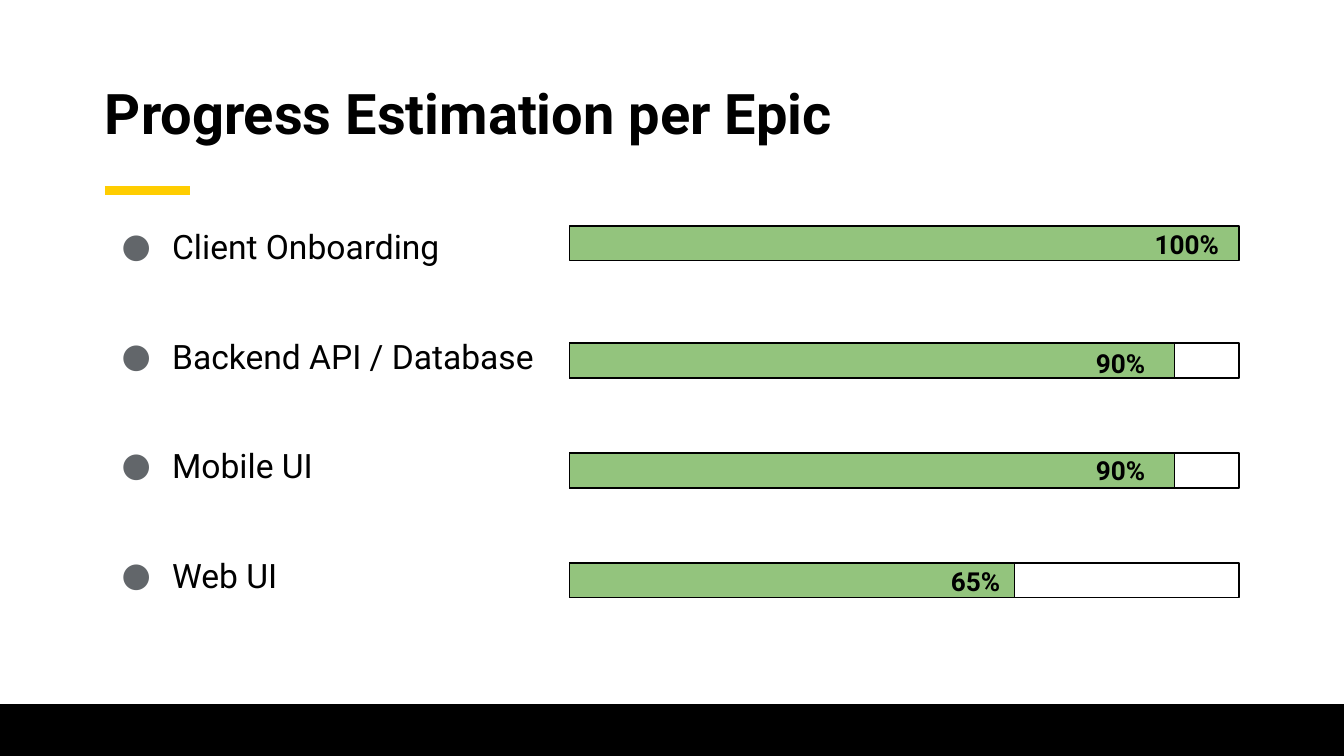
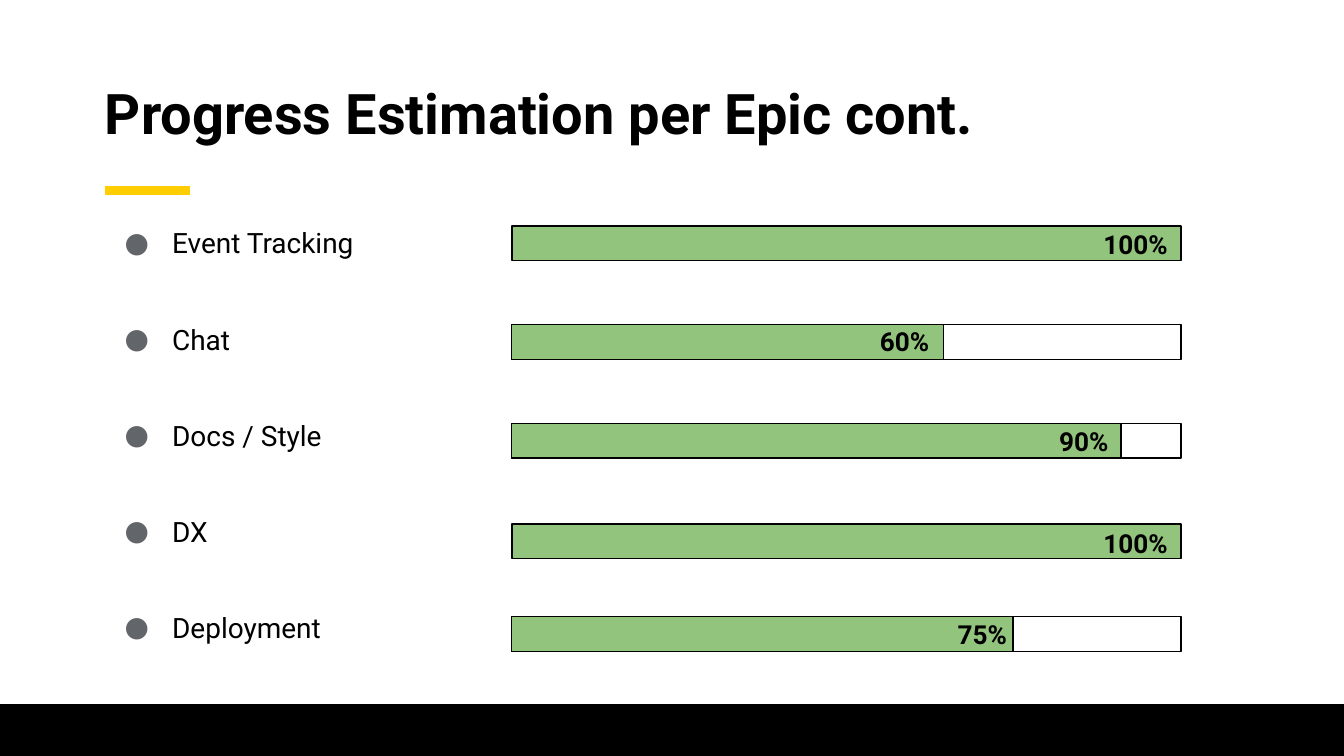
from lxml import etree
from pptx import Presentation
from pptx.dml.color import RGBColor
from pptx.enum.shapes import MSO_CONNECTOR, MSO_SHAPE
from pptx.enum.text import MSO_ANCHOR, PP_ALIGN
from pptx.oxml.ns import qn
from pptx.util import Pt

RECT = MSO_SHAPE.RECTANGLE
LINE = MSO_CONNECTOR.STRAIGHT
TOP, MIDDLE = MSO_ANCHOR.TOP, MSO_ANCHOR.MIDDLE
LEFT, RIGHT = PP_ALIGN.LEFT, PP_ALIGN.RIGHT

BLACK = RGBColor(0x00, 0x00, 0x00)
WHITE = RGBColor(0xFF, 0xFF, 0xFF)
GREEN = RGBColor(0x93, 0xC4, 0x7D)
YELLOW = RGBColor(0xFF, 0xCD, 0x00)
GREY = RGBColor(0x62, 0x66, 0x6A)
FONT = "Roboto"

WIDTH, HEIGHT = 720, 405
MARGIN = 56.2
INNER = WIDTH - 2 * MARGIN
BAR_W, BAR_H = 358.6, 18.7
LABEL_W, LABEL_H = 72, 24.5

# Each slide: title, text size, hanging indent, bar left, rows
# Each row: epic, percent, bar top, done width, label right, label top
SLIDES = [
    ("Progress Estimation per Epic", 18, 27, 305.2, [
        ("Client Onboarding", 100, 121, BAR_W, 660.2, 115.2),
        ("Backend API / Database", 90, 183.8, 324, 620.6, 178.8),
        ("Mobile UI", 90, 242.7, 324, 620.6, 236.2),
        ("Web UI", 65, 301.6, 238.2, 543, 295.5),
    ]),
    ("Progress Estimation per Epic cont.", 15, 25.5, 274.2, [
        ("Event Tracking", 100, 121, BAR_W, 632.7, 115.2),
        ("Chat", 60, 173.9, 231.2, 504.9, 167.2),
        ("Docs / Style", 90, 226.8, 326.5, 600.9, 220.6),
        ("DX", 100, 280.7, BAR_W, 632.7, 275.6),
        ("Deployment", 75, 330.3, 268.6, 546.6, 324.3),
    ]),
]


class Deck:
    def __init__(self):
        self.prs = Presentation()
        self.prs.slide_width = Pt(WIDTH)
        self.prs.slide_height = Pt(HEIGHT)
        self.slide = None

    def start(self, title):
        """Add a slide with the shared rule, band and title."""
        self.slide = self.prs.slides.add_slide(self.prs.slide_layouts[6])
        self.rule(MARGIN, 102.2, 45.6)
        self.rect(0, 377.2, WIDTH, HEIGHT - 377.2, BLACK)
        frame = self.frame(MARGIN, 23, INNER, 78.5, anchor=MIDDLE)
        para = frame.paragraphs[0]
        para.line_spacing = 0.9
        self.run(para, title, 30, True)

    def rule(self, left, top, width):
        line = self.slide.shapes.add_connector(
            LINE, Pt(left), Pt(top), Pt(left + width), Pt(top))
        line.line.color.rgb = YELLOW
        line.line.width = Pt(5)
        etree.SubElement(line._element.spPr, qn("a:effectLst"))

    def rect(self, left, top, width, height, fill, edge=None):
        box = self.slide.shapes.add_shape(
            RECT, Pt(left), Pt(top), Pt(width), Pt(height))
        box.shadow.inherit = False
        box.fill.solid()
        box.fill.fore_color.rgb = fill
        if edge is None:
            box.line.fill.background()
        else:
            box.line.color.rgb = edge
            box.line.width = Pt(0.75)

    def frame(self, left, top, width, height, inset=0, anchor=TOP):
        box = self.slide.shapes.add_textbox(
            Pt(left), Pt(top), Pt(width), Pt(height))
        frame = box.text_frame
        frame.word_wrap = True
        frame.vertical_anchor = anchor
        frame.margin_left = frame.margin_right = Pt(inset)
        frame.margin_top = frame.margin_bottom = Pt(inset)
        return frame

    def run(self, para, text, size, bold=False, align=LEFT):
        para.alignment = align
        run = para.add_run()
        run.text = text
        run.font.name = FONT
        run.font.size = Pt(size)
        run.font.bold = bold
        run.font.color.rgb = BLACK

    def bullet(self, para, hang):
        props = para._p.get_or_add_pPr()
        props.set("marL", str(Pt(36)))
        props.set("indent", str(-Pt(hang)))
        tint = etree.SubElement(props, qn("a:buClr"))
        etree.SubElement(tint, qn("a:srgbClr"), val=str(GREY))
        etree.SubElement(props, qn("a:buFont"), typeface=FONT)
        etree.SubElement(props, qn("a:buChar"), char="●")

    def list(self, items, size, hang):
        frame = self.frame(MARGIN, 121, INNER, 229.7)
        for i, item in enumerate(items):
            para = frame.add_paragraph() if i else frame.paragraphs[0]
            # One line of air plus 8 pt on either side of it
            para.space_before = Pt(round(16 + 1.17 * size, 1) if i else 0)
            self.bullet(para, hang)
            self.run(para, item, size)

    def bar(self, left, top, done):
        if done < BAR_W:
            self.rect(left, top, BAR_W, BAR_H, WHITE, BLACK)
        self.rect(left, top, done, BAR_H, GREEN, BLACK)

    def label(self, text, right, top):
        frame = self.frame(right - LABEL_W, top, LABEL_W, LABEL_H, 7.2)
        self.run(frame.paragraphs[0], text, 14, True, RIGHT)


def main():
    deck = Deck()
    for title, size, hang, left, rows in SLIDES:
        deck.start(title)
        deck.list([row[0] for row in rows], size, hang)
        # Progress bars with their percentages
        for _, share, top, done, right, high in rows:
            deck.bar(left, top, done)
            deck.label(f"{share}%", right, high)
    deck.prs.save("out.pptx")


if __name__ == "__main__":
    main()
